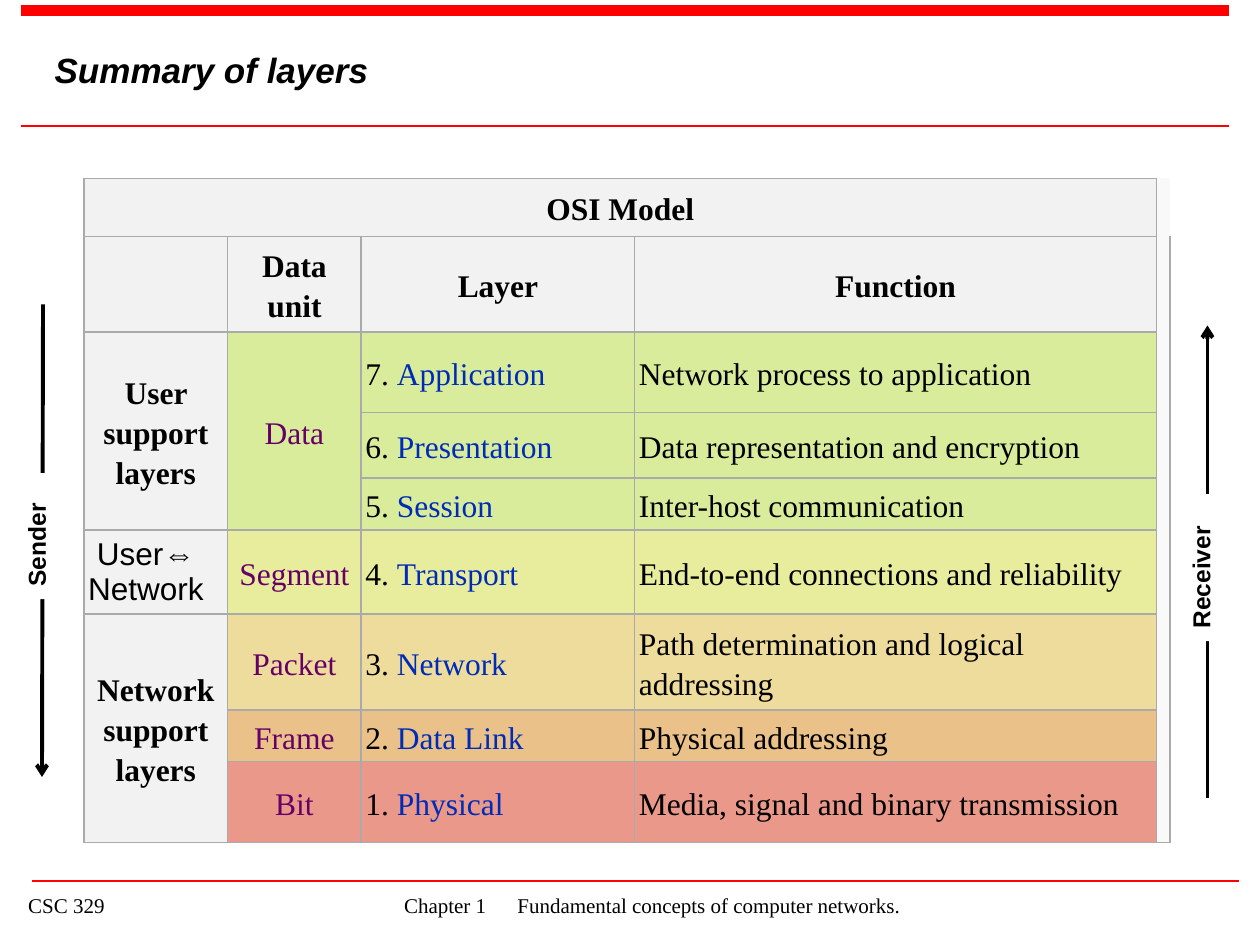
"""Build the slide that sums up the seven OSI layers in one table."""
import dataclasses

import lxml.etree
import pptx
import pptx.dml.color
import pptx.enum.shapes
import pptx.enum.text
import pptx.oxml.ns
import pptx.util

Pt = pptx.util.Pt
qn = pptx.oxml.ns.qn
CENTER = pptx.enum.text.PP_ALIGN.CENTER
LEFT = pptx.enum.text.PP_ALIGN.LEFT


@dataclasses.dataclass(frozen=True)
class Theme:
    sans: str = "Arial"
    serif: str = "Times New Roman"
    ink: str = "000000"
    paper: str = "FFFFFF"
    rule: str = "FF0000"
    border: str = "AAAAAA"
    heading_fill: str = "F2F2F2"
    edge_fill: str = "F9F9F9"
    unit: str = "660066"
    link: str = "002BB8"
    title_size: int = 20
    table_size: int = 18
    label_size: int = 14
    footer_size: int = 12


THEME = Theme()
TITLE = "Summary of layers"
FOOTER = ("CSC 329", "Chapter 1", "Fundamental concepts of computer networks.")
FOOTER_TABS = (35.8, 46.6)
MODEL = "OSI Model"
HEADINGS = ("", "Data unit", "Layer", "Function")
LAYERS = [
    ("Application", "Network process to application", "D8EC9B"),
    ("Presentation", "Data representation and encryption", "D8EC9B"),
    ("Session", "Inter-host communication", "D8EC9B"),
    ("Transport", "End-to-end connections and reliability", "E7ED9C"),
    ("Network", "Path determination and logical addressing", "EDDC9C"),
    ("Data Link", "Physical addressing", "E9C189"),
    ("Physical", "Media, signal and binary transmission", "E9988A"),
]
GROUPS = [("User support layers", 7, 5), ("User⇔ Network", 4, 4), ("Network support layers", 3, 1)]
UNITS = [("Data", 7, 5), ("Segment", 4, 4), ("Packet", 3, 3), ("Frame", 2, 2), ("Bit", 1, 1)]
COLUMN_SHARES = (114, 106, 217, 414, 7)
ROW_SHARES = (46, 76, 64, 52, 41, 67, 76, 41, 64)
TABLE_BOX = (8, 17, 103, 63.2)
RULES = [(3, 118, 83.9, 1.5), (2, 117, 1, 6), (2, 117, 12, 1.5)]
FLOWS = [
    ("Sender", (4.1, 29, 4, 74), "tailEnd", (-2.5, 49, 12, 4.1)),
    ("Receiver", (115, 31, 115, 76), "headEnd", (107.4, 52, 14, 4.1)),
]

deck = pptx.Presentation()
deck.slide_width, deck.slide_height = pptx.util.Inches(10), pptx.util.Inches(7.5)
slide = deck.slides.add_slide(deck.slide_layouts[5])


def grid(*lengths):
    """Turn steps of a 120-column slide grid into lengths."""
    return [round(deck.slide_width * length / 120) for length in lengths]


def rgb(color):
    return pptx.dml.color.RGBColor.from_string(color)


def style(font, face, size, color, bold=False, italic=False):
    font.name, font.size, font.bold, font.italic = face, Pt(size), bold, italic
    font.color.rgb = rgb(color)


def draw_line(ends, color, width, arrow=None):
    line = slide.shapes.add_connector(pptx.enum.shapes.MSO_CONNECTOR.STRAIGHT, *grid(*ends))
    line.line.color.rgb = rgb(color)
    line.line.width = Pt(width)
    if arrow:
        lxml.etree.SubElement(line.line._get_or_add_ln(), qn("a:" + arrow), type="arrow")
    lxml.etree.SubElement(line._element.spPr, qn("a:effectLst"))


def dress(cell, fill, sides):
    cell.margin_left = cell.margin_right = cell.margin_top = cell.margin_bottom = Pt(2.4)
    cell.vertical_anchor = pptx.enum.text.MSO_ANCHOR.MIDDLE
    properties = cell._tc.get_or_add_tcPr()
    for side in "LRTB":
        edge = lxml.etree.SubElement(properties, qn("a:ln" + side), w=str(Pt(1)))
        if side in sides:
            paint = lxml.etree.SubElement(edge, qn("a:solidFill"))
            lxml.etree.SubElement(paint, qn("a:srgbClr"), val=THEME.border)
        else:
            lxml.etree.SubElement(edge, qn("a:noFill"))
    cell.fill.solid()
    cell.fill.fore_color.rgb = rgb(fill)


def write(cell, text, color=THEME.ink, bold=False, align=CENTER):
    line = cell.text_frame.paragraphs[0]
    line.text = text
    line.alignment, line.line_spacing, line.space_after = align, 1.15, Pt(12)
    style(line.font, THEME.serif, THEME.table_size, color, bold)
    return line


def row_of(layer):
    return len(ROW_SHARES) - layer


def fill_spans(table, column, spans, color, bold):
    for text, top, bottom in spans:
        cell = table.cell(row_of(top), column)
        if top != bottom:
            cell.merge(table.cell(row_of(bottom), column))
        write(cell, text, color, bold)


def add_layer_table():
    left, top, width, height = grid(*TABLE_BOX)
    table = slide.shapes.add_table(
        len(ROW_SHARES), len(COLUMN_SHARES), left, top, width, height).table
    table.first_row = table.horz_banding = False
    for column, share in zip(table.columns, COLUMN_SHARES):
        column.width = round(width * share / sum(COLUMN_SHARES))
    for row, share in zip(table.rows, ROW_SHARES):
        row.height = round(height * share / sum(ROW_SHARES))

    fills = [THEME.heading_fill] * 2 + [layer[2] for layer in LAYERS]
    for r, layer_fill in enumerate(fills):
        for c in range(4):
            dress(table.cell(r, c), layer_fill if c else THEME.heading_fill, "LRTB")
        edge_sides = "L" if r == 0 else "LRB" if r == len(fills) - 1 else "LR"
        dress(table.cell(r, 4), THEME.edge_fill, edge_sides)

    table.cell(0, 0).merge(table.cell(0, 3))
    write(table.cell(0, 0), MODEL, bold=True)
    for c, heading in enumerate(HEADINGS):
        if heading:
            write(table.cell(1, c), heading, bold=True)
    fill_spans(table, 0, GROUPS, THEME.ink, True)
    fill_spans(table, 1, UNITS, THEME.unit, False)
    for r, (name, function, _) in enumerate(LAYERS, start=2):
        layer = write(table.cell(r, 2), f"{row_of(r)}. ", align=LEFT)
        link = layer.add_run()
        link.text = name
        link.font.color.rgb = rgb(THEME.link)
        write(table.cell(r, 3), function, align=LEFT)

    bridge = table.cell(row_of(4), 0).text_frame.paragraphs[0]
    bridge.alignment, bridge.line_spacing, bridge.space_after = LEFT, 1.0, Pt(0)
    bridge._p.get_or_add_pPr().set("indent", str(Pt(5)))
    style(bridge.font, THEME.sans, THEME.table_size, THEME.ink)


def add_title():
    title = slide.shapes.title
    title.left, title.top, title.width, title.height = grid(4, 4, 32.5, 5.3)
    title.text = TITLE
    title.text_frame.word_wrap = False
    title.text_frame.vertical_anchor = pptx.enum.text.MSO_ANCHOR.TOP
    heading = title.text_frame.paragraphs[0]
    heading.alignment = LEFT
    style(heading.font, THEME.sans, THEME.title_size, THEME.ink, True, True)


def add_footer():
    footer = slide.shapes.add_textbox(*grid(1.5, 84.4, 93, 6)).text_frame
    footer.word_wrap = True
    course = footer.paragraphs[0]
    course.text = "\t".join(FOOTER)
    tabs = lxml.etree.SubElement(course._p.get_or_add_pPr(), qn("a:tabLst"))
    for stop in grid(*FOOTER_TABS):
        lxml.etree.SubElement(tabs, qn("a:tab"), pos=str(stop), algn="l")
    style(course.font, THEME.serif, THEME.footer_size, THEME.ink)


def add_flow(name, ends, arrow, box):
    draw_line(ends, THEME.ink, 2.25, arrow)
    label = slide.shapes.add_shape(pptx.enum.shapes.MSO_SHAPE.RECTANGLE, *grid(*box))
    label.rotation = 270
    label.shadow.inherit = False
    label.fill.solid()
    label.fill.fore_color.rgb = rgb(THEME.paper)
    label.line.fill.background()
    label.text_frame.vertical_anchor = pptx.enum.text.MSO_ANCHOR.TOP
    role = label.text_frame.paragraphs[0]
    role.text = name
    role.alignment = LEFT
    style(role.font, THEME.sans, THEME.label_size, THEME.ink, True)


add_footer()
for start, end, y, weight in RULES:
    draw_line((start, y, end, y), THEME.rule, weight)
add_title()
add_layer_table()
for flow in FLOWS:
    add_flow(*flow)
deck.save("out.pptx")
